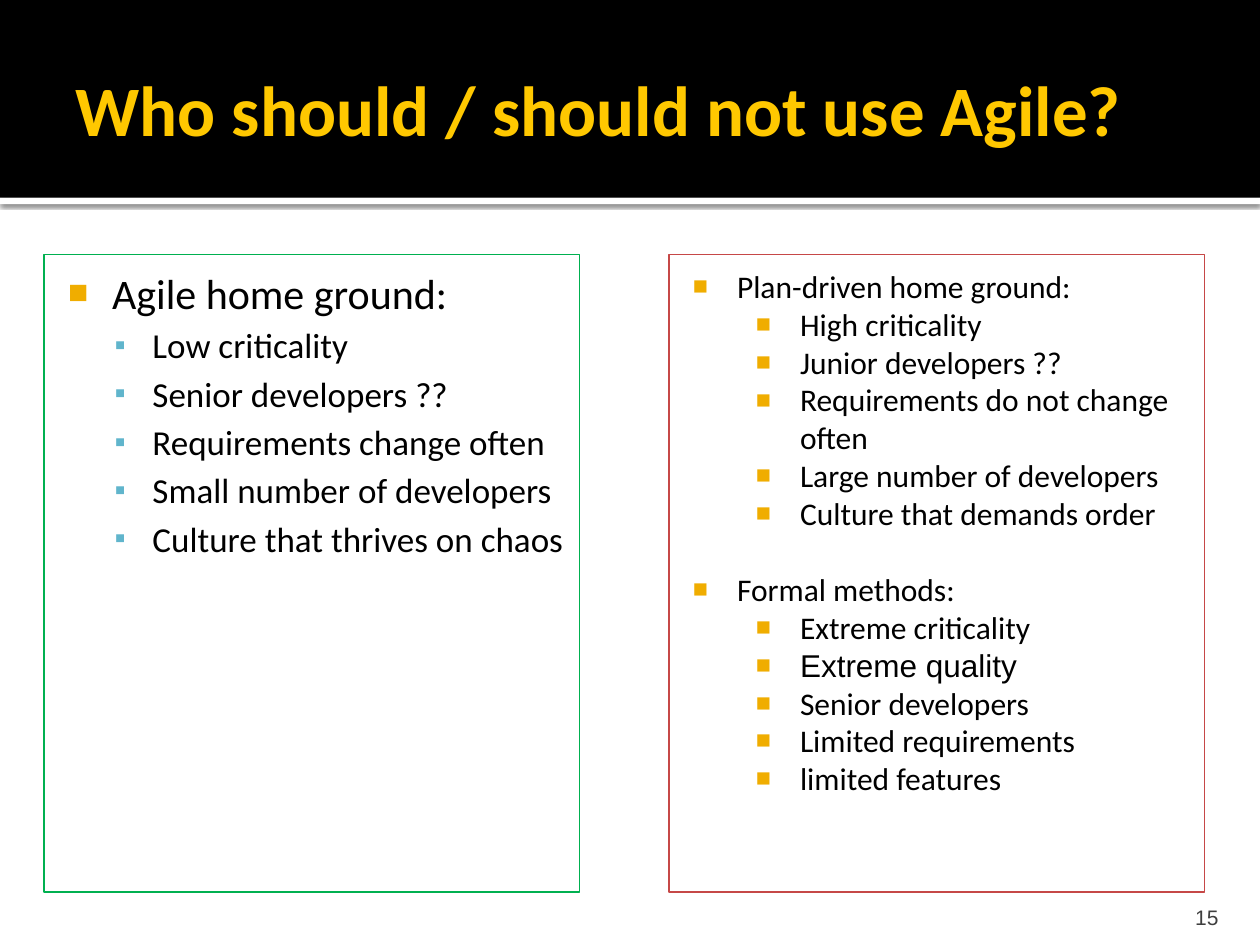
from dataclasses import dataclass

from lxml.etree import SubElement
from pptx import Presentation
from pptx.dml.color import RGBColor
from pptx.enum.shapes import MSO_SHAPE
from pptx.enum.text import MSO_ANCHOR, MSO_AUTO_SIZE, PP_ALIGN
from pptx.oxml.ns import qn
from pptx.util import Inches, Pt


@dataclass(frozen=True)
class Theme:
    font: str = "Calibri"
    alt: str = "Arial"
    black: str = "000000"
    white: str = "FFFFFF"
    title: str = "FFC800"
    gold: str = "F0AD00"
    blue: str = "60B5CC"
    green: str = "00B050"
    red: str = "C64847"
    gray: str = "3F3F3F"
    title_size: float = 40.5
    head_size: float = 24
    item_size: float = 20
    plan_size: float = 18
    page_size: float = 12


@dataclass(frozen=True)
class Level:
    """Indents in inches, bullet look and space before in points."""
    left: float
    hang: float
    mark: str
    color: str
    scale: int
    size: float
    gap: float = 0


THEME = Theme()
AGILE_HEAD = Level(0.48, 0.35, "■", THEME.gold, 80, THEME.head_size)
AGILE_ITEM = Level(0.8, 0.3, "▪", THEME.blue, 90, THEME.item_size, 3.6)
PLAN_HEAD = Level(0.48, 0.35, "■", THEME.gold, 80, THEME.plan_size)
PLAN_NEXT = Level(0.48, 0.35, "■", THEME.gold, 80, THEME.plan_size, 22)
PLAN_ITEM = Level(0.98, 0.35, "■", THEME.gold, 80, THEME.plan_size)

AGILE = [
    (AGILE_HEAD, "Agile home ground:", [
        "Low criticality", "Senior developers ??",
        "Requirements change often", "Small number of developers",
        "Culture that thrives on chaos"]),
]
PLAN = [
    (PLAN_HEAD, "Plan-driven home ground:", [
        "High criticality", "Junior developers ??",
        "Requirements do not change often", "Large number of developers",
        "Culture that demands order"]),
    (PLAN_NEXT, "Formal methods:", [
        "Extreme criticality", "Extreme quality", "Senior developers",
        "Limited requirements", "limited features"]),
]
ALT_ITEMS = {"Extreme quality"}


def rgb(color):
    return RGBColor.from_string(color)


def add_run(para, text, size, color, font=THEME.font, bold=False):
    run = para.add_run()
    run.text = text
    run.font.name = font
    run.font.size = Pt(size)
    run.font.bold = bold
    run.font.color.rgb = rgb(color)


def set_frame(frame, anchor, left, top, right, bottom):
    frame.word_wrap = True
    frame.auto_size = MSO_AUTO_SIZE.NONE
    frame.vertical_anchor = anchor
    frame.margin_left, frame.margin_top = Inches(left), Inches(top)
    frame.margin_right, frame.margin_bottom = Inches(right), Inches(bottom)


def add_rect(slide, *box):
    rect = slide.shapes.add_shape(MSO_SHAPE.RECTANGLE, *map(Inches, box))
    rect.shadow.inherit = False
    return rect


def add_band(slide, top, height, color):
    band = add_rect(slide, 0, top, 10, height)
    band.fill.solid()
    band.fill.fore_color.rgb = rgb(color)
    band.line.fill.background()
    return band


def add_shadow(shape):
    effects = shape._element.spPr.find(qn("a:effectLst"))
    outer = SubElement(effects, qn("a:outerShdw"), blurRad=str(Pt(2.5)),
                       dist=str(Pt(0.8)), dir="5400000", rotWithShape="0")
    color = SubElement(outer, qn("a:srgbClr"), val=THEME.black)
    SubElement(color, qn("a:alpha"), val="60000")


def set_bullet(para, level):
    props = para._p.get_or_add_pPr()
    props.set("marL", str(Inches(level.left)))
    props.set("indent", str(-Inches(level.hang)))
    color = SubElement(props, qn("a:buClr"))
    SubElement(color, qn("a:srgbClr"), val=level.color)
    SubElement(props, qn("a:buSzPct"), val=str(level.scale * 1000))
    SubElement(props, qn("a:buFont"), typeface=THEME.alt)
    SubElement(props, qn("a:buChar"), char=level.mark)


def add_line(frame, text, level):
    first = frame.paragraphs[0]
    para = frame.add_paragraph() if first.runs else first
    para.alignment = PP_ALIGN.LEFT
    set_bullet(para, level)
    para.space_before = Pt(level.gap)
    font = THEME.alt if text in ALT_ITEMS else THEME.font
    add_run(para, text, level.size, THEME.black, font)


def add_panel(slide, left, color, groups, item_level):
    panel = add_rect(slide, left, 2.02, 4.25, 5.06)
    panel.fill.background()
    panel.line.color.rgb = rgb(color)
    panel.line.width = Pt(0.75)
    frame = panel.text_frame
    set_frame(frame, MSO_ANCHOR.TOP, 0.06, 0.1, 0.1, 0.05)
    for level, head, items in groups:
        add_line(frame, head, level)
        for item in items:
            add_line(frame, item, item_level)


def set_title(slide, text):
    """Fill the title and bring it in front of the bands."""
    title = slide.shapes.title
    title.left, title.top = Inches(0.5), Inches(0.17)
    title.width, title.height = Inches(9), Inches(1.37)
    set_frame(title.text_frame, MSO_ANCHOR.MIDDLE, 0.1, 0.05, 0.05, 0.05)
    para = title.text_frame.paragraphs[0]
    para.alignment = PP_ALIGN.LEFT
    add_run(para, text, THEME.title_size, THEME.title, bold=True)
    slide.shapes._spTree.append(title._element)


def add_page(slide, number):
    box = slide.shapes.add_textbox(*map(Inches, (8.97, 7.08, 0.8, 0.3)))
    set_frame(box.text_frame, MSO_ANCHOR.BOTTOM, 0.1, 0.05, 0.1, 0)
    para = box.text_frame.paragraphs[0]
    para.alignment = PP_ALIGN.RIGHT
    add_run(para, number, THEME.page_size, THEME.gray, THEME.alt)


def main():
    deck = Presentation()
    deck.slide_width, deck.slide_height = Inches(10), Inches(7.5)
    slide = deck.slides.add_slide(deck.slide_layouts.get_by_name("Title Only"))
    add_shadow(add_band(slide, 1.57, 0.05, THEME.white))
    add_band(slide, 0, 1.57, THEME.black)
    set_title(slide, "Who should / should not use Agile?")
    add_panel(slide, 0.35, THEME.green, AGILE, AGILE_ITEM)
    add_page(slide, "15")
    add_panel(slide, 5.31, THEME.red, PLAN, PLAN_ITEM)
    deck.save("out.pptx")


if __name__ == "__main__":
    main()
